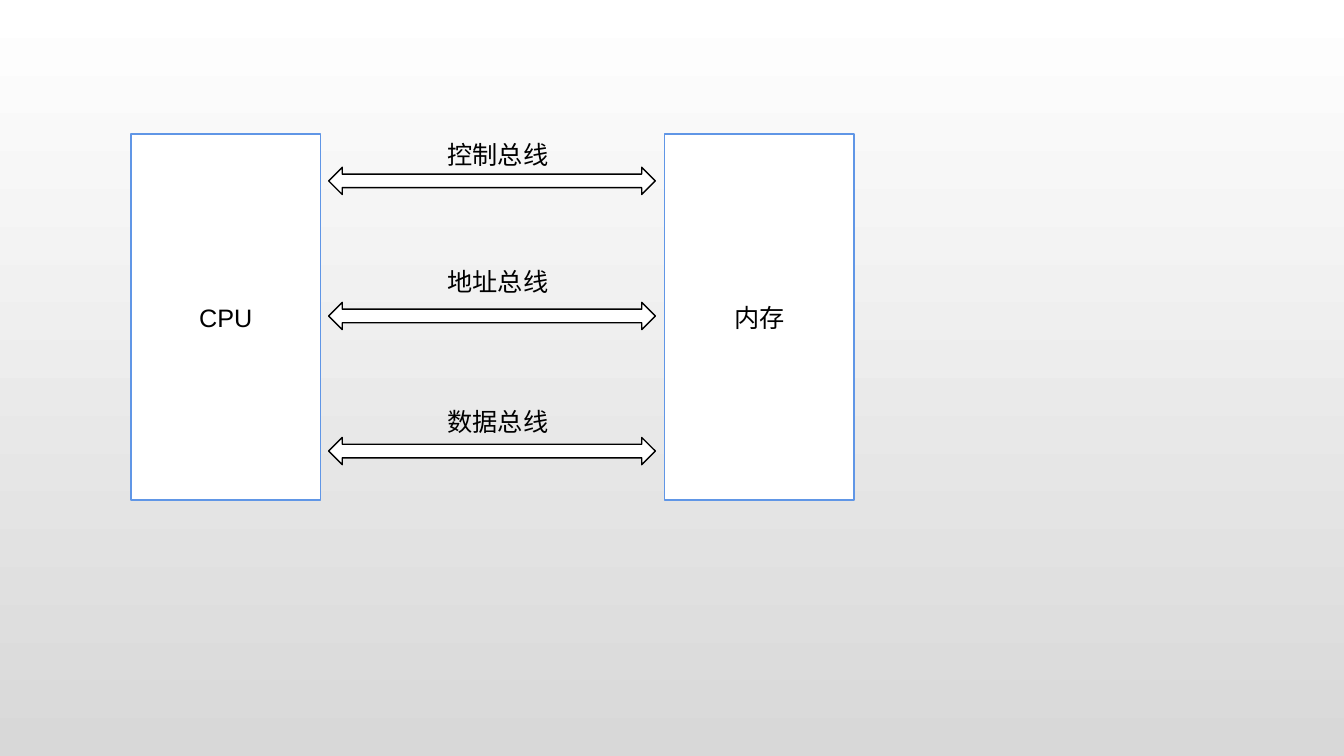
"""Build a slide showing the three buses between the CPU and memory."""
from dataclasses import dataclass

from pptx import Presentation
from pptx import util as u
from pptx.dml.color import RGBColor
from pptx.enum import shapes, text


@dataclass(frozen=True)
class Theme:
    font: str = "Arial"
    size: int = 18
    line_width: int = 1
    ink: str = "000000"
    paper: str = "FFFFFF"
    border: str = "6096E6"
    shade: str = "D8D8D8"


class Diagram:
    def __init__(self, slide, theme):
        self.s = slide
        self.theme = theme

    def background(self):
        fill = self.s.background.fill
        fill.gradient()
        fill.gradient_angle = 270
        for stop, color in zip(fill.gradient_stops, (self.theme.paper, self.theme.shade)):
            stop.color.rgb = RGBColor.from_string(color)

    def set_text(self, tf, words, align):
        p = tf.paragraphs[0]
        p.text = words
        p.alignment = align
        p.font.name = self.theme.font
        p.font.size = u.Pt(self.theme.size)
        p.font.color.rgb = RGBColor.from_string(self.theme.ink)

    def shape(self, kind, box, line):
        sp = self.s.shapes.add_shape(kind, *map(u.Inches, box))
        sp.shadow.inherit = False
        sp.fill.solid()
        sp.fill.fore_color.rgb = RGBColor.from_string(self.theme.paper)
        sp.line.color.rgb = RGBColor.from_string(line)
        sp.line.width = u.Pt(self.theme.line_width)
        return sp

    def block(self, words, box):
        sp = self.shape(shapes.MSO_SHAPE.RECTANGLE, box, self.theme.border)
        sp.text_frame.vertical_anchor = text.MSO_ANCHOR.MIDDLE
        self.set_text(sp.text_frame, words, text.PP_ALIGN.CENTER)

    def arrow(self, box):
        self.shape(shapes.MSO_SHAPE.LEFT_RIGHT_ARROW, box, self.theme.ink)

    def label(self, words, box):
        tf = self.s.shapes.add_textbox(*map(u.Inches, box)).text_frame
        tf.word_wrap = True
        tf.auto_size = text.MSO_AUTO_SIZE.SHAPE_TO_FIT_TEXT
        self.set_text(tf, words, text.PP_ALIGN.LEFT)


prs = Presentation()
prs.slide_width, prs.slide_height = u.Inches(13.33), u.Inches(7.5)
diagram = Diagram(prs.slides.add_slide(prs.slide_layouts[6]), Theme())
diagram.background()

for name, left in (("CPU", 1.3), ("内存", 6.59)):
    diagram.block(name, (left, 1.33, 1.88, 3.63))

buses = (("控制总线", 1.33), ("地址总线", 2.59), ("数据总线", 3.98))
for i, (name, label_top) in enumerate(buses):
    diagram.arrow((3.26, 1.66 + i * 1.34, 3.24, 0.27))
    diagram.label(name, (4.34, label_top, 1.23, 0.4))

prs.save("out.pptx")
